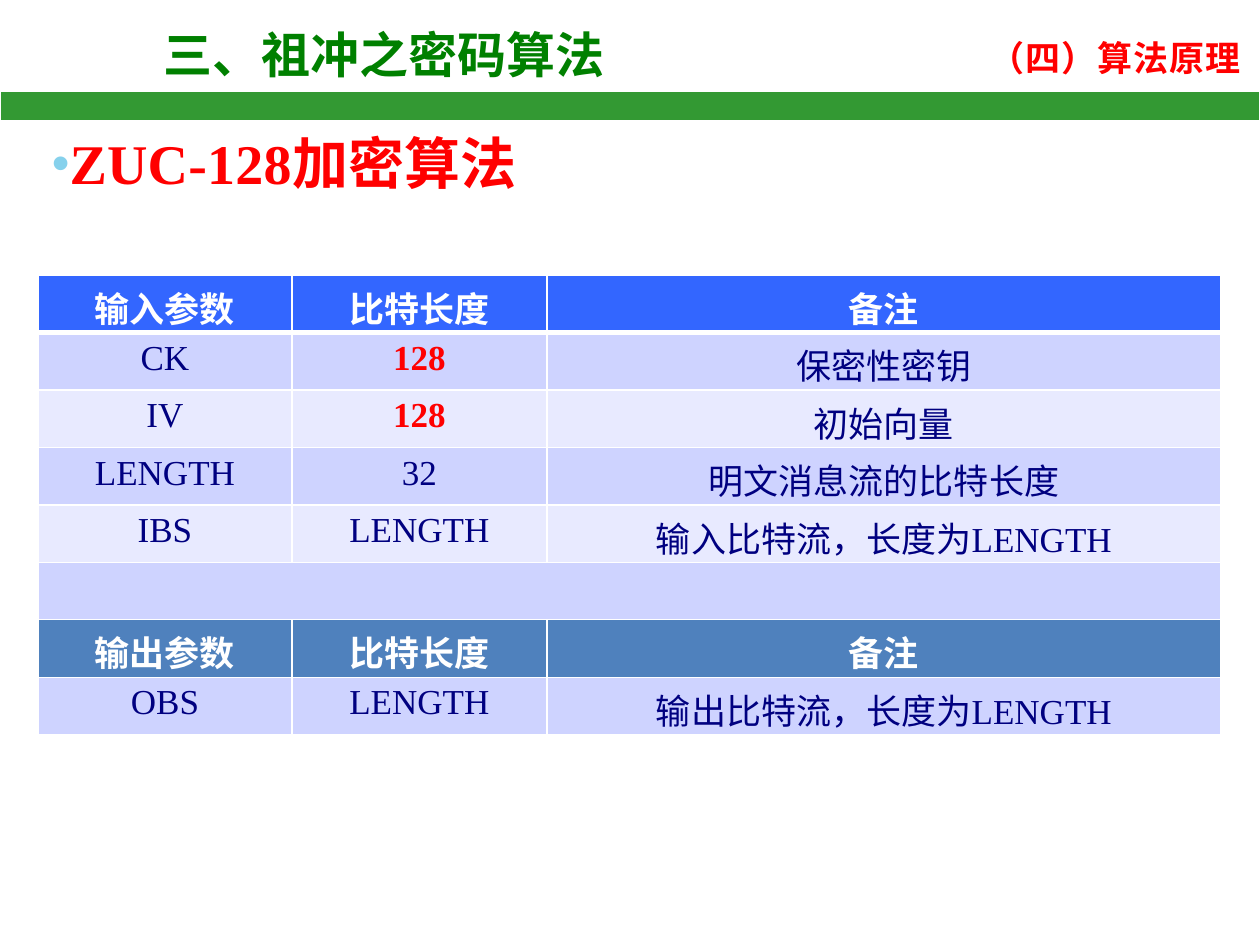
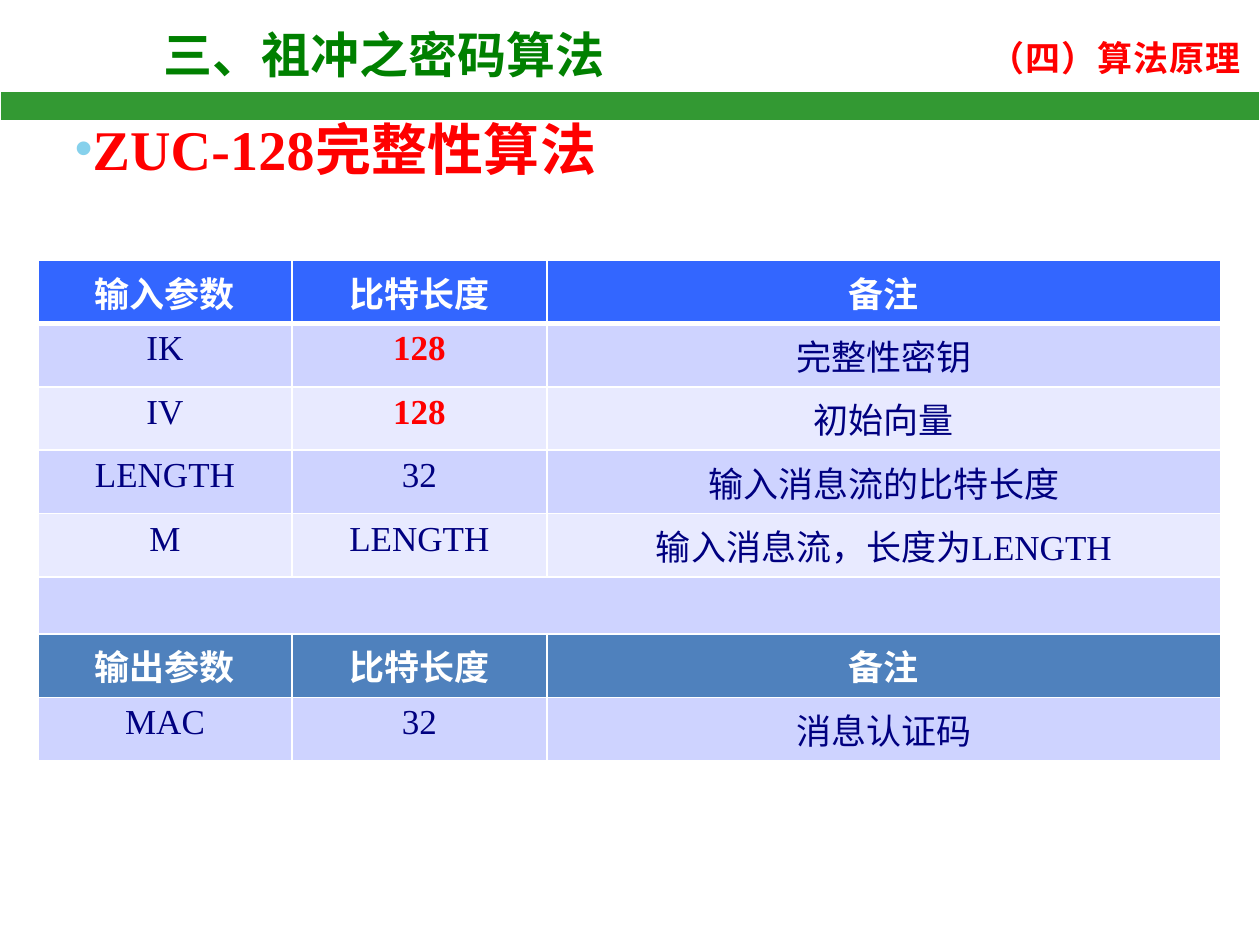
from dataclasses import dataclass

from lxml import etree
from pptx import Presentation
from pptx.dml.color import RGBColor
from pptx.enum.shapes import MSO_SHAPE
from pptx.enum.text import MSO_ANCHOR, MSO_AUTO_SIZE, PP_ALIGN
from pptx.oxml.ns import qn
from pptx.slide import Slide
from pptx.table import _Cell
from pptx.text.text import TextFrame, _Paragraph
from pptx.util import Emu, Pt

RECTANGLE = MSO_SHAPE.RECTANGLE
TOP, MIDDLE = MSO_ANCHOR.TOP, MSO_ANCHOR.MIDDLE
LEFT, CENTER = PP_ALIGN.LEFT, PP_ALIGN.CENTER
NO_AUTOFIT = MSO_AUTO_SIZE.NONE
EMU_PER_PX = 914400 / 126
TITLE_ONLY = 5


@dataclass(frozen=True)
class Theme:
    latin: str = "Times New Roman"
    label: str = "Arial"
    chinese: str = "Noto Sans CJK SC"
    white: str = "FFFFFF"
    red: str = "FF0000"
    navy: str = "000080"
    title: str = "008000"
    band: str = "339933"
    bullet: str = "86D1EC"
    input_header: str = "3366FF"
    output_header: str = "4F81BD"
    odd_row: str = "CED3FF"
    even_row: str = "E8EAFF"
    title_size: int = 28
    heading_size: int = 32
    text_size: int = 20


@dataclass(frozen=True)
class TextStyle:
    color: str
    size: int
    bold: bool = False
    latin: str = "Times New Roman"
    spacing: int = 0


@dataclass(frozen=True)
class Box:
    left: int
    top: int
    width: int
    height: int


@dataclass(frozen=True)
class Parameter:
    name: str
    bits: str
    remark: str


@dataclass(frozen=True)
class Algorithm:
    heading: tuple[str, str]
    heading_box: Box
    table_box: Box
    bottom_margin: int
    inputs: tuple[Parameter, ...]
    output: Parameter


THEME = Theme()
TITLE_STYLE = TextStyle(THEME.title, THEME.title_size, True, THEME.chinese)
SECTION_STYLE = TextStyle(THEME.red, THEME.text_size, True, THEME.chinese, 50)
HEADING_STYLE = TextStyle(THEME.red, THEME.heading_size, True, spacing=10)
INPUT_STYLE = TextStyle(THEME.white, THEME.text_size, True)
OUTPUT_STYLE = TextStyle(THEME.white, THEME.text_size, True, THEME.label)
VALUE_STYLE = TextStyle(THEME.navy, THEME.text_size)
KEY_STYLE = TextStyle(THEME.red, THEME.text_size, True)

TITLE_BOX = Box(152, 24, 599, 72)
SECTION_BOX = Box(978, 30, 281, 55)
BAND_BOX = Box(0, 91, 1260, 30)
SIDE_INSET = 12
COLUMN_WIDTHS = (254, 255, 674)
GAP_HEIGHT = 57
INPUT_HEADER = Parameter("输入参数", "比特长度", "备注")
OUTPUT_HEADER = Parameter("输出参数", "比特长度", "备注")
EMPHASIZED_BITS = "128"

ALGORITHMS = (
    Algorithm(
        ("ZUC-128", "加密算法"),
        Box(40, 129, 1182, 105),
        Box(38, 275, 1183, 460),
        0,
        (
            Parameter("CK", "128", "保密性密钥"),
            Parameter("IV", "128", "初始向量"),
            Parameter("LENGTH", "32", "明文消息流的比特长度"),
            Parameter("IBS", "LENGTH", "输入比特流，长度为LENGTH"),
        ),
        Parameter("OBS", "LENGTH", "输出比特流，长度为LENGTH"),
    ),
    Algorithm(
        ("ZUC-128", "完整性算法"),
        Box(63, 114, 1134, 84),
        Box(38, 260, 1183, 501),
        6,
        (
            Parameter("IK", "128", "完整性密钥"),
            Parameter("IV", "128", "初始向量"),
            Parameter("LENGTH", "32", "输入消息流的比特长度"),
            Parameter("M", "LENGTH", "输入消息流，长度为LENGTH"),
        ),
        Parameter("MAC", "32", "消息认证码"),
    ),
)


def px(length: float) -> Emu:
    return Emu(round(length * EMU_PER_PX))


def frame(box: Box) -> tuple[Emu, Emu, Emu, Emu]:
    return px(box.left), px(box.top), px(box.width), px(box.height)


def rgb(color: str) -> RGBColor:
    return RGBColor.from_string(color)


def format_runs(paragraph: _Paragraph, style: TextStyle) -> None:
    for run in paragraph.runs:
        run.font.name = style.latin
        run.font.size = Pt(style.size)
        run.font.bold = style.bold
        run.font.color.rgb = rgb(style.color)
        properties = run.font._element
        latin = properties.find(qn("a:latin"))
        east_asian = etree.Element(qn("a:ea"), typeface=THEME.chinese)
        latin.addnext(east_asian)
        if style.spacing:
            properties.set("spc", str(style.spacing))


def set_insets(text_frame: TextFrame, wrap: bool, anchor: MSO_ANCHOR) -> None:
    text_frame.auto_size = NO_AUTOFIT
    text_frame.word_wrap = wrap
    text_frame.vertical_anchor = anchor
    text_frame.margin_left = text_frame.margin_right = px(SIDE_INSET)
    text_frame.margin_top = text_frame.margin_bottom = 0


def add_title(slide: Slide) -> None:
    title = slide.shapes.title
    title.left, title.top, title.width, title.height = frame(TITLE_BOX)
    title.text_frame.text = "三、祖冲之密码算法"
    set_insets(title.text_frame, True, TOP)
    paragraph = title.text_frame.paragraphs[0]
    paragraph.alignment = LEFT
    format_runs(paragraph, TITLE_STYLE)


def add_section(slide: Slide) -> None:
    text_frame = slide.shapes.add_textbox(*frame(SECTION_BOX)).text_frame
    text_frame.text = "（四）算法原理"
    set_insets(text_frame, False, MIDDLE)
    format_runs(text_frame.paragraphs[0], SECTION_STYLE)


def add_band(slide: Slide) -> None:
    band = slide.shapes.add_shape(RECTANGLE, *frame(BAND_BOX))
    band.shadow.inherit = False
    band.fill.solid()
    band.fill.fore_color.rgb = rgb(THEME.band)
    band.line.color.rgb = rgb(THEME.white)
    band.line.width = Pt(0.75)


def add_bullet(paragraph: _Paragraph) -> None:
    properties = paragraph._p.get_or_add_pPr()
    properties.set("marL", "0")
    properties.set("indent", "0")
    color = etree.SubElement(properties, qn("a:buClr"))
    etree.SubElement(color, qn("a:srgbClr"), val=THEME.bullet)
    etree.SubElement(properties, qn("a:buSzPct"), val="90000")
    etree.SubElement(properties, qn("a:buFont"), typeface=THEME.label)
    etree.SubElement(properties, qn("a:buChar"), char="•")


def add_heading(slide: Slide, algorithm: Algorithm) -> None:
    text_frame = slide.shapes.add_textbox(*frame(algorithm.heading_box)).text_frame
    set_insets(text_frame, True, TOP)
    paragraph = text_frame.paragraphs[0]
    add_bullet(paragraph)
    for part in algorithm.heading:
        paragraph.add_run().text = part
    format_runs(paragraph, HEADING_STYLE)


def set_borders(cell: _Cell, top: int, bottom: int) -> None:
    properties = cell._tc.get_or_add_tcPr()
    for side, points in (("L", 1), ("R", 1), ("T", top), ("B", bottom)):
        line = etree.SubElement(properties, qn(f"a:ln{side}"), w=str(Pt(points)))
        fill = etree.SubElement(line, qn("a:solidFill"))
        etree.SubElement(fill, qn("a:srgbClr"), val=THEME.white)


def fill_cell(cell: _Cell, text: str, fill: str, style: TextStyle) -> None:
    cell.fill.solid()
    cell.fill.fore_color.rgb = rgb(fill)
    if text:
        cell.text_frame.text = text
        paragraph = cell.text_frame.paragraphs[0]
        paragraph.alignment = CENTER
        format_runs(paragraph, style)


def add_parameters(slide: Slide, algorithm: Algorithm) -> None:
    gap = Parameter("", "", "")
    records = (INPUT_HEADER, *algorithm.inputs, gap, OUTPUT_HEADER, algorithm.output)
    gap_row = records.index(gap)
    headers = {
        0: (THEME.input_header, INPUT_STYLE),
        gap_row + 1: (THEME.output_header, OUTPUT_STYLE),
    }
    box = algorithm.table_box
    table = slide.shapes.add_table(
        len(records), len(COLUMN_WIDTHS), *frame(box)
    ).table
    for column, width in zip(table.columns, COLUMN_WIDTHS):
        column.width = px(width)
    row_height = (box.height - GAP_HEIGHT) / (len(records) - 1)
    for index, record in enumerate(records):
        table.rows[index].height = px(GAP_HEIGHT if index == gap_row else row_height)
        band = THEME.odd_row if index % 2 else THEME.even_row
        fill, base_style = headers.get(index, (band, VALUE_STYLE))
        values = (record.name, record.bits, record.remark)
        for cell, text in zip(table.rows[index].cells, values):
            style = KEY_STYLE if text == EMPHASIZED_BITS else base_style
            cell.margin_bottom = px(algorithm.bottom_margin)
            set_borders(cell, 3 if index == 1 else 1, 3 if index == 0 else 1)
            fill_cell(cell, text, fill, style)
    table.cell(gap_row, 0).merge(table.cell(gap_row, len(COLUMN_WIDTHS) - 1))


def main() -> None:
    presentation = Presentation()
    presentation.slide_width = px(1260)
    presentation.slide_height = px(945)
    for algorithm in ALGORITHMS:
        slide = presentation.slides.add_slide(presentation.slide_layouts[TITLE_ONLY])
        add_section(slide)
        add_title(slide)
        add_band(slide)
        add_heading(slide, algorithm)
        add_parameters(slide, algorithm)
    presentation.save("out.pptx")


if __name__ == "__main__":
    main()
